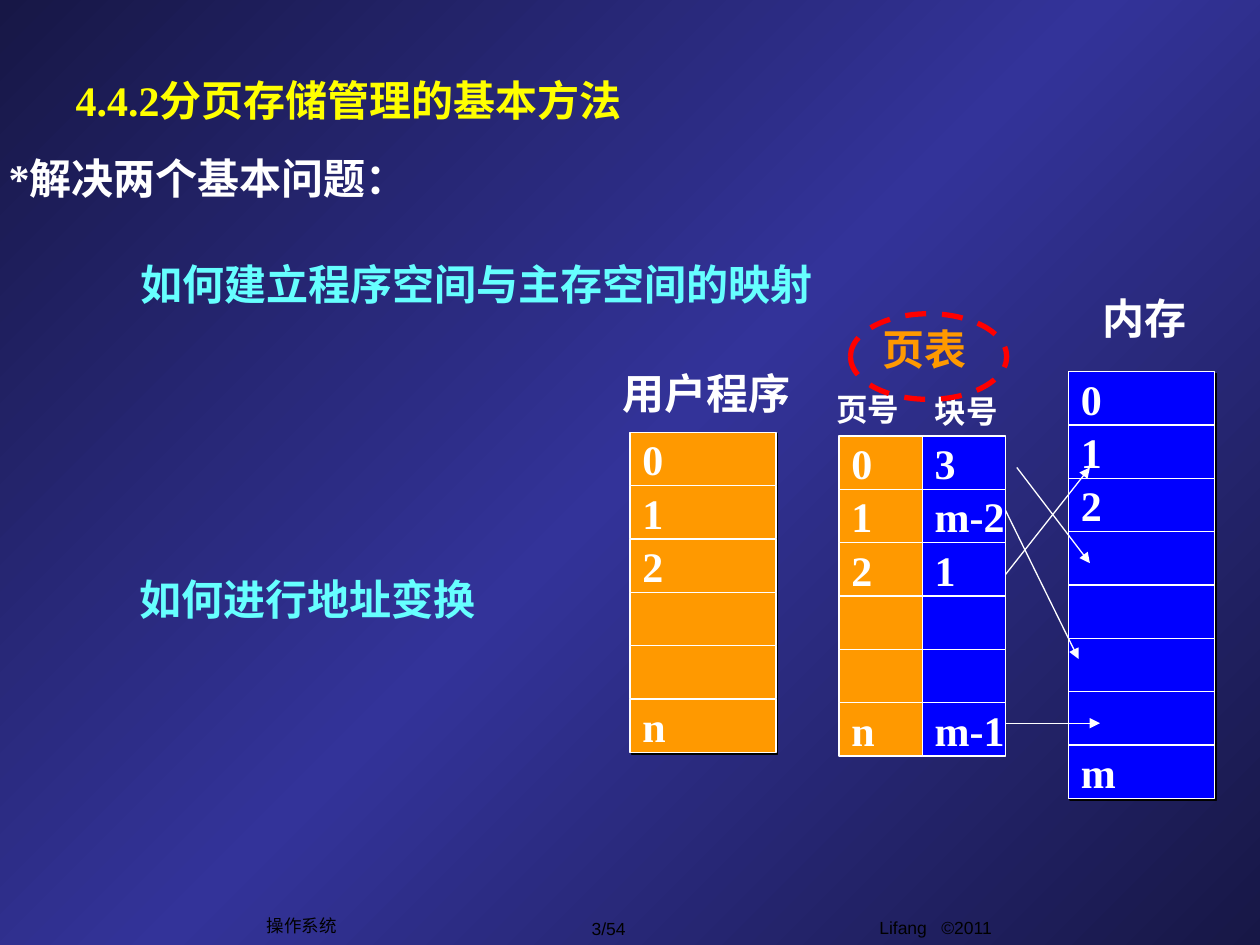
from lxml.etree import SubElement
from pptx import Presentation
from pptx.dml.color import RGBColor
from pptx.enum.dml import MSO_LINE
from pptx.enum.shapes import MSO_CONNECTOR, MSO_SHAPE
from pptx.enum.text import MSO_ANCHOR, MSO_AUTO_SIZE, PP_ALIGN
from pptx.oxml.ns import qn
from pptx.util import Inches, Pt

WHITE, BLACK, YELLOW, CYAN = "FFFFFF", "000000", "FFFF00", "66FFFF"
ORANGE, BLUE, RED = "FF9900", "0000FF", "FF0000"
BACKGROUND_STOPS = [(0, "171746"), (50, "333399"), (100, "171746")]

TITLE = "4.4.2分页存储管理的基本方法"
# text, left, top, width, height, size, colour
LABELS = [
    ("*解决两个基本问题：", -0.03, 1.16, 4.44, 0.5, 24, WHITE),
    ("如何建立程序空间与主存空间的映射", 1.02, 2, 5.55, 0.5, 24, CYAN),
    ("如何进行地址变换", 1.01, 4.5, 2.9, 0.5, 24, CYAN),
    ("内存", 8.65, 2.27, 0.9, 0.5, 24, WHITE),
    ("用户程序", 4.84, 2.87, 1.55, 0.5, 24, WHITE),
    ("页表", 6.91, 2.52, 0.9, 0.5, 24, ORANGE),
    ("页号", 6.54, 3.05, 0.72, 0.4, 18, WHITE),
    ("块号", 7.32, 3.06, 0.72, 0.4, 18, WHITE),
]
# text, left, top, width, height
FOOTERS = [
    ("操作系统", 2.02, 7.21, 0.75, 0.27),
    ("3/54", 4.32, 7.24, 1.02, 0.27),
    ("Lifang   ©2011", 5.84, 7.23, 3.17, 0.35),
]
ROW_HEIGHT = 2.54 / 6
# cells, left, top, width, fill, shadowed
COLUMNS = [
    (["0", "1", "2", "", "", "n"], 5, 3.43, 1.16, ORANGE, True),
    (["0", "1", "2", "", "", "", "", "m"], 8.48, 2.95, 1.16, BLUE, True),
    (["0", "1", "2", "", "", "n"], 6.66, 3.46, 0.66, ORANGE, False),
    (["3", "m-2", "1", "", "", "m-1"], 7.32, 3.46, 0.66, BLUE, False),
]
# start x, start y, end x, end y
MAPPINGS = [
    (8.07, 3.71, 8.65, 4.47),
    (7.98, 4.05, 8.56, 5.23),
    (7.98, 4.56, 8.65, 3.71),
    (7.98, 5.74, 8.73, 5.74),
]


def colour(hex_string):
    return RGBColor.from_string(hex_string)


def inches(*lengths):
    return [Inches(length) for length in lengths]


def write(shape, text, size, hex_string, font="Times New Roman", bold=True,
          align=PP_ALIGN.LEFT, anchor=MSO_ANCHOR.TOP, wrap=False):
    frame = shape.text_frame
    frame.word_wrap = wrap
    frame.vertical_anchor = anchor
    frame.text = text
    paragraph = frame.paragraphs[0]
    paragraph.alignment = align
    paragraph.font.size = Pt(size)
    paragraph.font.name = font
    paragraph.font.bold = bold
    paragraph.font.color.rgb = colour(hex_string)


def add_label(shapes, text, box, size, hex_string, **style):
    """Add a one-line text box that grows to fit its text."""
    label = shapes.add_textbox(*inches(*box))
    write(label, text, size, hex_string, **style)
    label.text_frame.auto_size = MSO_AUTO_SIZE.SHAPE_TO_FIT_TEXT


def add_hard_shadow(shape):
    """Cast a sharp black shadow towards the lower right."""
    effects = shape._element.spPr.find(qn("a:effectLst"))
    shadow = SubElement(effects, qn("a:outerShdw"), blurRad="0", dist=str(Pt(1.4)),
                        dir="2700000", algn="ctr", rotWithShape="0")
    SubElement(shadow, qn("a:srgbClr"), val=BLACK)


def paint_background(slide):
    fill = slide.background.fill
    fill.gradient()
    fill.gradient_angle = 135
    stops = next(slide.element.iter(qn("a:gsLst")))
    for stop in list(stops):
        stops.remove(stop)
    for percent, hex_string in BACKGROUND_STOPS:
        stop = SubElement(stops, qn("a:gs"), pos=str(percent * 1000))
        SubElement(stop, qn("a:srgbClr"), val=hex_string)


def add_column(shapes, cells, left, top, width, fill, shadowed):
    for row, text in enumerate(cells):
        box = inches(left, top + row * ROW_HEIGHT, width, ROW_HEIGHT)
        cell = shapes.add_shape(MSO_SHAPE.RECTANGLE, *box)
        cell.shadow.inherit = False
        cell.fill.solid()
        cell.fill.fore_color.rgb = colour(fill)
        cell.line.color.rgb = colour(WHITE)
        cell.line.width = Pt(0.75)
        if shadowed:
            add_hard_shadow(cell)
        if text:
            write(cell, text, 24, WHITE, anchor=MSO_ANCHOR.MIDDLE)


def add_arrow(shapes, *ends):
    arrow = shapes.add_connector(MSO_CONNECTOR.STRAIGHT, *inches(*ends))
    arrow.line.color.rgb = colour(WHITE)
    arrow.line.width = Pt(0.75)
    SubElement(arrow.line._get_or_add_ln(), qn("a:tailEnd"), type="triangle")
    SubElement(arrow._element.spPr, qn("a:effectLst"))


def main():
    presentation = Presentation()
    presentation.slide_width, presentation.slide_height = inches(10, 7.5)
    slide = presentation.slides.add_slide(presentation.slide_layouts[5])
    shapes = slide.shapes
    paint_background(slide)

    title = shapes.title
    title.left, title.top, title.width, title.height = inches(0.5, 0.17, 8.5, 1.25)
    write(title, TITLE, 24, YELLOW, anchor=MSO_ANCHOR.MIDDLE, wrap=True)

    for text, *box in FOOTERS:
        add_label(shapes, text, box, 10, BLACK, font="Arial", bold=False,
                  align=PP_ALIGN.CENTER)
    for text, *box, size, hex_string in LABELS:
        add_label(shapes, text, box, size, hex_string)
    for column in COLUMNS:
        add_column(shapes, *column)
    for ends in MAPPINGS:
        add_arrow(shapes, *ends)

    ring = shapes.add_shape(MSO_SHAPE.OVAL, *inches(6.75, 2.49, 1.24, 0.68))
    ring.shadow.inherit = False
    ring.fill.background()
    ring.line.color.rgb = colour(RED)
    ring.line.width = Pt(3)
    ring.line.dash_style = MSO_LINE.DASH

    presentation.save("out.pptx")


if __name__ == "__main__":
    main()
